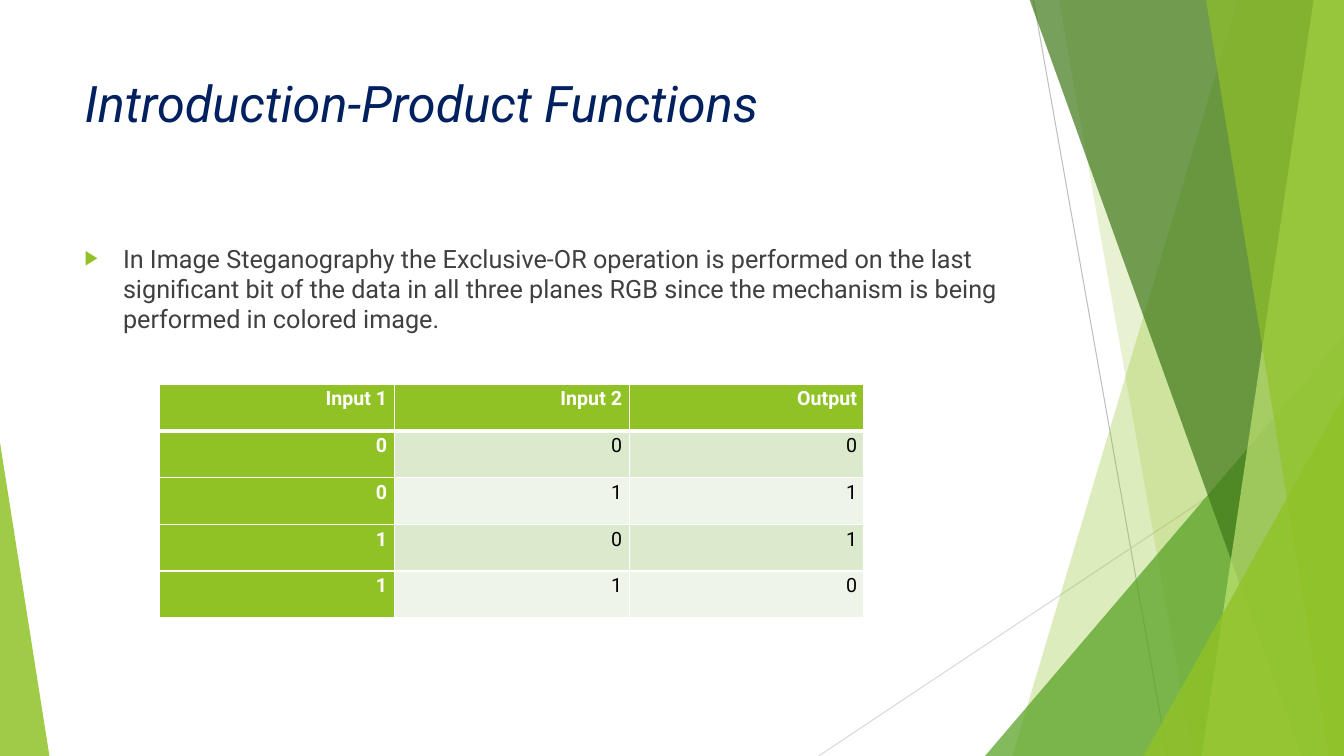
from pptx import Presentation
from pptx.dml.color import RGBColor
from pptx.enum.shapes import MSO_CONNECTOR, MSO_SHAPE
from pptx.enum.text import MSO_ANCHOR, MSO_AUTO_SIZE, PP_ALIGN
from pptx.oxml.ns import qn
from pptx.util import Inches, Pt
from lxml.etree import SubElement

# Content
TITLE = "Introduction-Product Functions"
BODY = ("In Image Steganography the Exclusive-OR operation is performed on the last "
        "significant bit of the data in all three planes RGB since the mechanism is "
        "being performed in colored image.")
XOR_ROWS = [
    ("Input 1", "Input 2", "Output"),
    ("0", "0", "0"),
    ("0", "1", "1"),
    ("1", "0", "1"),
    ("1", "1", "0"),
]

FONT = "Roboto"
COLORS = {
    "lime": "90C226", "green": "54A021", "forest": "3F7819", "pale": "C0E474",
    "navy": "002060", "text": "404040", "white": "FFFFFF", "black": "000000",
    "line_dark": "BFBFBF", "line_light": "D9D9D9",
    "band_dark": "DBE9CD", "band_light": "EEF4E8",
}
W, H, TOP = 13.33, 7.5, -0.01

# Decoration, back to front
LINES = [(10.25, 0, 11.58, H, "line_dark"), (W, 4.03, 8.12, H, "line_light")]
# ("band", x at top, x at foot, color, opacity) reaches the right edge;
# ("triangle", left, top, width, apex, color, opacity) stands on the foot
FACETS = [
    ("band", 12.28, 10.04, "lime", 30),
    ("band", 10.5, 11.83, "lime", 20),
    ("triangle", 9.77, 3.33, 3.56, 1, "green", 72),
    ("band", 10.21, 12.91, "forest", 70),
    ("band", 13.03, 11.92, "pale", 70),
    ("band", 11.96, 13.18, "lime", 65),
    ("triangle", 11.34, 3.93, 1.99, 1, "lime", 80),
    ("triangle", 0, 4.39, 0.49, 0, "lime", 85),
]


def rgb(name):
    return RGBColor.from_string(COLORS[name])


def add_band(top_x, foot_x):
    points = [(Inches(x), Inches(y))
              for x, y in ((top_x, TOP), (W, TOP), (W, H), (foot_x, H))]
    fb = s.shapes.build_freeform(*points[0])
    fb.add_line_segments(points[1:], close=True)
    return fb.convert_to_shape()


def add_triangle(left, top, width, apex):
    sp = s.shapes.add_shape(MSO_SHAPE.ISOSCELES_TRIANGLE, Inches(left), Inches(top),
                            Inches(width), Inches(H - top))
    sp.adjustments[0] = apex
    return sp


def write(p, text, color, **formats):
    r = p.add_run()
    r.text = text
    r.font.color.rgb = rgb(color)
    for key, value in {"name": FONT, **formats}.items():
        setattr(r.font, key, value)


def place(sp, left, top, width, height):
    sp.left, sp.top, sp.width, sp.height = map(Inches, (left, top, width, height))
    s.shapes.element.append(sp.element)  # in front of the decoration
    tf = sp.text_frame
    frame = {"word_wrap": True, "auto_size": MSO_AUTO_SIZE.NONE,
             "vertical_anchor": MSO_ANCHOR.TOP}
    for key, value in frame.items():
        setattr(tf, key, value)
    return tf.paragraphs[0]


def set_borders(cell, **widths):
    tcPr = cell._tc.get_or_add_tcPr()
    for side in "LRTB":
        ln = SubElement(tcPr, qn(f"a:ln{side}"), w=str(Pt(widths.get(side, 1))))
        fill = SubElement(ln, qn("a:solidFill"))
        SubElement(fill, qn("a:srgbClr"), val=COLORS["white"])


prs = Presentation()
prs.slide_width, prs.slide_height = Inches(W), Inches(H)
s = prs.slides.add_slide(prs.slide_layouts[1])

# Thin lines
for x1, y1, x2, y2, color in LINES:
    cn = s.shapes.add_connector(MSO_CONNECTOR.STRAIGHT, *map(Inches, (x1, y1, x2, y2)))
    cn.line.color.rgb = rgb(color)
    cn.line.width = Pt(0.75)
    SubElement(cn.element.spPr, qn("a:effectLst"))

# Translucent facets
builders = {"band": add_band, "triangle": add_triangle}
for kind, *geometry, color, opacity in FACETS:
    sp = builders[kind](*geometry)
    sp.shadow.inherit = False
    sp.line.fill.background()
    sp.fill.solid()
    sp.fill.fore_color.rgb = rgb(color)
    clr = sp.element.spPr.find(qn("a:solidFill")).find(qn("a:srgbClr"))
    SubElement(clr, qn("a:alpha"), val=str(opacity * 1000))

# Title
p = place(s.shapes.title, 0.74, 0.67, 9.4, 1.44)
p.alignment = PP_ALIGN.LEFT
write(p, TITLE, "navy", size=Pt(36), italic=True)

# Bulleted text
p = place(s.placeholders[1], 0.74, 2.36, 9.4, 4.24)
p.space_before = Pt(10)
write(p, BODY, "text", size=Pt(18))
pPr = p._p.get_or_add_pPr()
pPr.set("marL", str(Inches(0.38)))
pPr.set("indent", str(Inches(-0.38)))
SubElement(SubElement(pPr, qn("a:buClr")), qn("a:srgbClr"), val=COLORS["lime"])
SubElement(pPr, qn("a:buSzPct"), val="80000")
SubElement(pPr, qn("a:buChar"), char="▶")

# Truth table
n_rows, n_cols = len(XOR_ROWS), len(XOR_ROWS[0])
table = s.shapes.add_table(n_rows, n_cols, Inches(1.58), Inches(3.81),
                           Inches(6.99), Inches(2.32)).table
table.first_col = True
cell_format = {"margin_left": Inches(0.07), "margin_right": Inches(0.07),
               "margin_top": 0, "margin_bottom": 0, "vertical_anchor": MSO_ANCHOR.TOP}
for i, row in enumerate(XOR_ROWS):
    for j, text in enumerate(row):
        cell = table.cell(i, j)
        head = i == 0 or j == 0
        band = "band_dark" if i % 2 else "band_light"
        set_borders(cell, T=3 if i == 1 else 1, B=3 if i == 0 else 1)
        cell.fill.solid()
        cell.fill.fore_color.rgb = rgb("lime" if head else band)
        for key, value in cell_format.items():
            setattr(cell, key, value)
        p = cell.text_frame.paragraphs[0]
        p.alignment = PP_ALIGN.RIGHT
        p.line_spacing = 1.15
        write(p, text, "white" if head else "black", size=Pt(14), bold=head)

prs.save("out.pptx")
